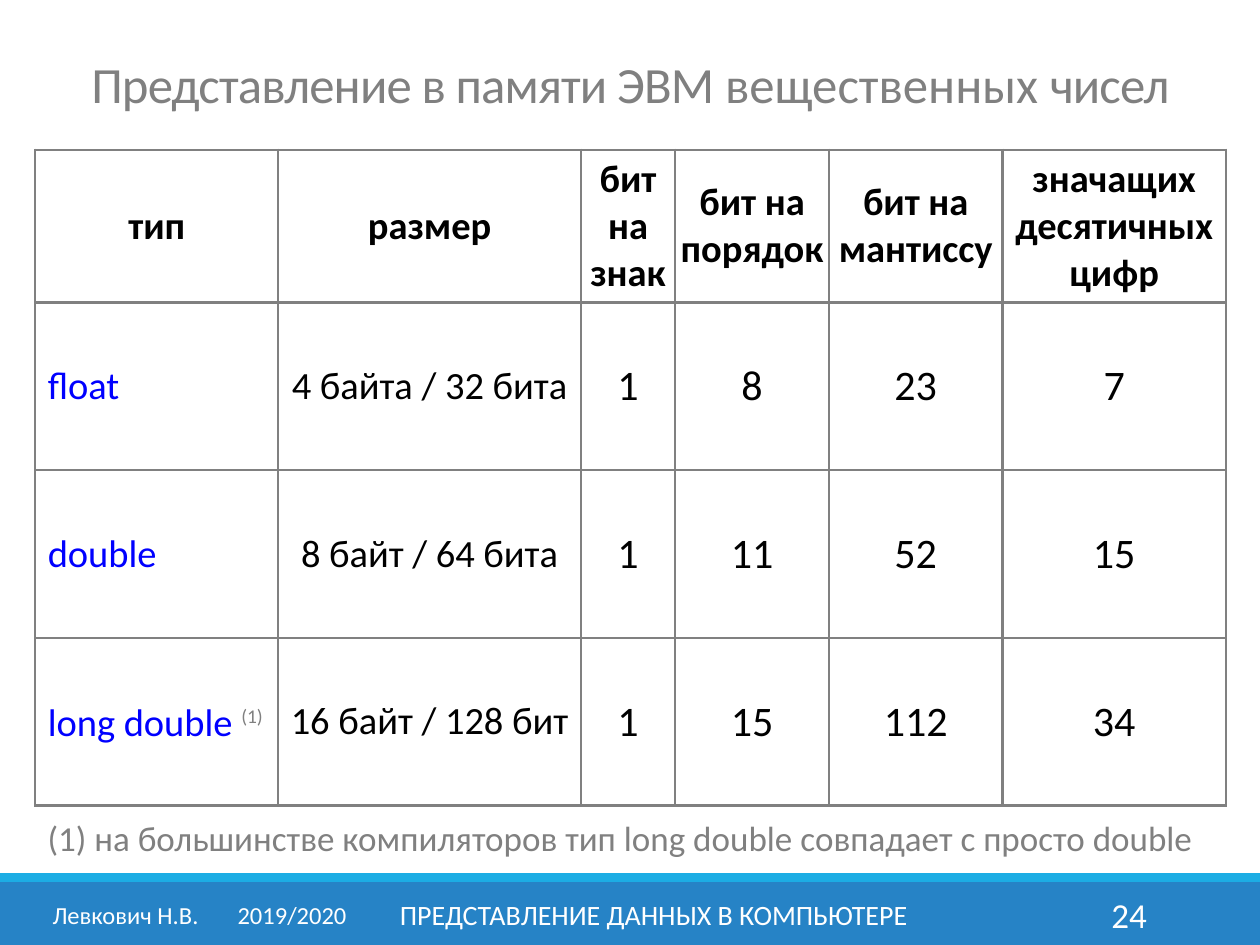
from collections import namedtuple
from dataclasses import dataclass

from lxml.etree import SubElement
from pptx import Presentation
from pptx.dml.color import RGBColor
from pptx.enum.shapes import MSO_SHAPE
from pptx.enum.text import MSO_ANCHOR, MSO_AUTO_SIZE, PP_ALIGN
from pptx.oxml.ns import qn
from pptx.util import Cm, Pt

Box = namedtuple("Box", "left top width height")


@dataclass(frozen=True)
class Theme:
    """Colours and type sizes of the deck."""
    font: str = "Calibri"
    white: str = "FFFFFF"
    black: str = "000000"
    grey: str = "808080"
    keyword: str = "0000FF"
    band: str = "2683C6"
    stripe: str = "1CADE4"
    title: int = 29
    number: int = 24
    cell: int = 22
    note: int = 20
    topic: int = 16
    author: int = 14
    border: float = 1.5


THEME = Theme()
COLUMNS = (4.9, 6.1, 1.9, 3.1, 3.5, 4.5)
ROWS = (3.08, 3.38, 3.38, 3.38)
MARK = "(1)"
TYPES = (
    ("тип", "размер", "бит на знак", "бит на порядок", "бит на мантиссу",
     "значащих десятичных цифр"),
    ("float", "4 байта / 32 бита", "1", "8", "23", "7"),
    ("double", "8 байт / 64 бита", "1", "11", "52", "15"),
    ("long double ", "16 байт / 128 бит", "1", "15", "112", "34"),
)


def style(run, size, color, bold=False):
    """Give a run its font, size and colour."""
    run.font.name = THEME.font
    run.font.size = Pt(size)
    run.font.bold = bold
    run.font.color.rgb = RGBColor.from_string(color)


def place(part, box):
    """Move a shape to a box given in centimetres."""
    part.left, part.top, part.width, part.height = (Cm(length) for length in box)


def add_label(slide, box, text, size, color, align=PP_ALIGN.LEFT, anchor=MSO_ANCHOR.MIDDLE):
    """Add one line of text and return its paragraph."""
    label = slide.shapes.add_textbox(*(Cm(length) for length in box))
    frame = label.text_frame
    frame.word_wrap = True
    frame.vertical_anchor = anchor
    frame.text = text
    line = frame.paragraphs[0]
    line.alignment = align
    style(line.runs[0], size, color)
    return line


def add_band(slide, box, color):
    """Add a plain filled strip."""
    strip = slide.shapes.add_shape(MSO_SHAPE.RECTANGLE, *(Cm(length) for length in box))
    strip.shadow.inherit = False
    strip.fill.solid()
    strip.fill.fore_color.rgb = RGBColor.from_string(color)
    strip.line.fill.background()


def add_footer(slide, box):
    """Draw the footer strips with author, topic and page number."""
    stripe = 0.18
    add_band(slide, Box(box.left, box.top + stripe, box.width, box.height - stripe), THEME.band)
    add_band(slide, Box(box.left, box.top, box.width, stripe), THEME.stripe)
    top, height = box.top + 0.33, 1.02
    add_label(slide, Box(box.left + 20.62, top, 2.75, height), "24", THEME.note,
              THEME.white, PP_ALIGN.RIGHT)
    author = add_label(slide, Box(box.left + 0.81, top, 6.63, height),
                       "Левкович Н.В.\t2019/2020", THEME.author, THEME.white)
    tabs = SubElement(author._p.get_or_add_pPr(), qn("a:tabLst"))
    SubElement(tabs, qn("a:tab"), pos=str(Cm(3.73)), algn="l")
    add_label(slide, Box(box.left + 7.67, top, 11.02, height),
              "ПРЕДСТАВЛЕНИЕ ДАННЫХ В КОМПЬЮТЕРЕ", THEME.topic, THEME.white, PP_ALIGN.CENTER)


def add_title(slide, box):
    """Fill the title placeholder."""
    heading = slide.shapes.title
    place(heading, box)
    frame = heading.text_frame
    frame.auto_size = MSO_AUTO_SIZE.NONE
    frame.vertical_anchor = MSO_ANCHOR.MIDDLE
    line = frame.paragraphs[0]
    line.alignment = PP_ALIGN.CENTER
    line.line_spacing = 0.85
    for text, spacing in (("Представление в памяти ЭВМ ", -50), ("вещественных ", 0),
                          ("чисел", -50)):
        words = line.add_run()
        words.text = text
        style(words, THEME.title, THEME.grey)
        words._r.get_or_add_rPr().set("spc", str(spacing))


def format_cell(cell):
    """Give a cell its borders, fill and anchor."""
    properties = cell._tc.get_or_add_tcPr()
    for side in ("lnL", "lnR", "lnT", "lnB"):
        edge = SubElement(properties, qn(f"a:{side}"), w=str(Pt(THEME.border)))
        paint = SubElement(edge, qn("a:solidFill"))
        SubElement(paint, qn("a:srgbClr"), val=THEME.grey)
    cell.fill.solid()
    cell.fill.fore_color.rgb = RGBColor.from_string(THEME.white)
    cell.vertical_anchor = MSO_ANCHOR.MIDDLE


def add_mark(line):
    """Append the superscript footnote mark."""
    mark = line.add_run()
    mark.text = MARK
    style(mark, THEME.number, THEME.grey)
    properties = mark._r.get_or_add_rPr()
    properties.set("baseline", "30000")
    properties.set("cap", "small")


def add_types(slide, box):
    """Build the table of floating-point types."""
    types = slide.shapes.add_table(len(ROWS), len(COLUMNS),
                                   *(Cm(length) for length in box)).table
    for column, width in zip(types.columns, COLUMNS):
        column.width = Cm(width)
    for row, height in zip(types.rows, ROWS):
        row.height = Cm(height)
    for r, values in enumerate(TYPES):
        for c, value in enumerate(values):
            header, keyword = r == 0, r > 0 and c == 0
            cell = types.cell(r, c)
            format_cell(cell)
            if (header and c > 1) or (not header and c == 1):
                cell.margin_left = cell.margin_right = Cm(0.1)
            cell.text_frame.text = value
            line = cell.text_frame.paragraphs[0]
            line.alignment = PP_ALIGN.LEFT if keyword else PP_ALIGN.CENTER
            style(line.runs[0], THEME.cell if header or c < 2 else THEME.number,
                  THEME.keyword if keyword else THEME.black, header)
    marked = types.cell(len(ROWS) - 1, 0)
    marked.margin_right = Cm(0.1)
    add_mark(marked.text_frame.paragraphs[0])


def build_types_slide(deck):
    """Compose the slide from its regions."""
    slide = deck.slides.add_slide(deck.slide_layouts[5])
    add_footer(slide, Box(0, 17.6, 25.4, 1.45))
    add_types(slide, Box(0.71, 3.02, sum(COLUMNS), sum(ROWS)))
    add_title(slide, Box(0.71, 1.32, 24, 0.89))
    add_label(slide, Box(0.71, 16.33, 23.9, 1.12),
              f"{MARK} на большинстве компиляторов тип long double совпадает с просто double",
              THEME.note, THEME.grey, anchor=MSO_ANCHOR.TOP)


deck = Presentation()
deck.slide_width, deck.slide_height = Cm(25.4), Cm(19.05)
build_types_slide(deck)
deck.save("out.pptx")
